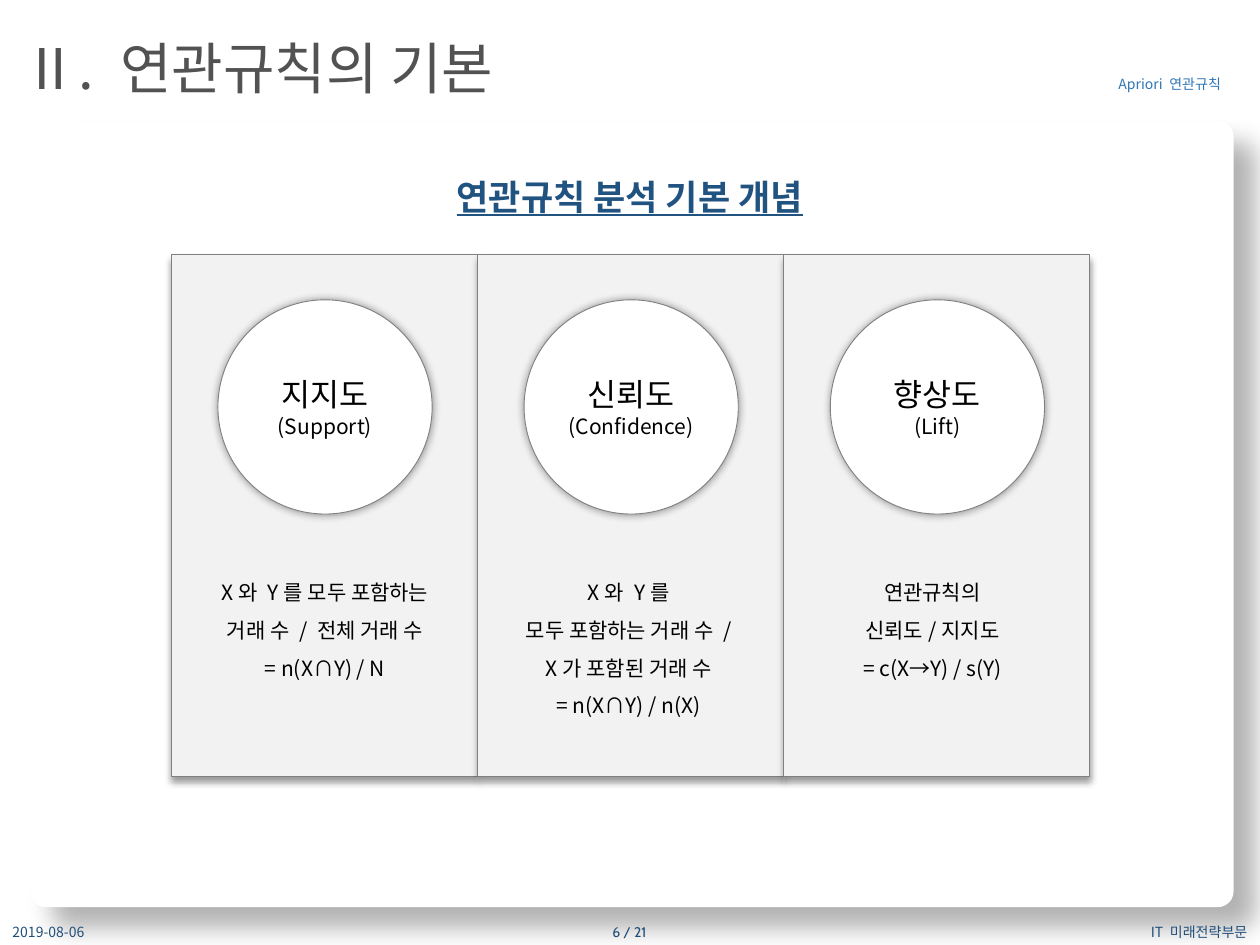
from lxml.etree import SubElement
from pptx import Presentation
from pptx.dml.color import RGBColor
from pptx.enum.shapes import MSO_SHAPE
from pptx.enum.text import MSO_ANCHOR, PP_ALIGN
from pptx.oxml.ns import qn
from pptx.util import Inches, Pt

COLORS = {
    "white": "FFFFFF", "black": "000000", "panel": "F2F2F2", "outline": "808080",
    "title": "525252", "heading": "215381", "topic": "2E75B6", "footer": "1F4E79",
}
KOREAN_FONT = "Noto Sans CJK KR"


def write_text(shape, lines, sizes, color, align=PP_ALIGN.CENTER, anchor=MSO_ANCHOR.MIDDLE,
               font_name=KOREAN_FONT, line_spacing=None):
    frame = shape.text_frame
    frame.word_wrap = True
    frame.vertical_anchor = anchor
    frame.text = "\n".join(lines)
    for paragraph, size in zip(frame.paragraphs, sizes):
        paragraph.alignment = align
        if line_spacing:
            paragraph.line_spacing = line_spacing
        font = paragraph.font
        font.size = Pt(size)
        font.color.rgb = RGBColor.from_string(COLORS[color])
        font.name = font_name
        properties = paragraph._p.pPr.find(qn("a:defRPr"))
        SubElement(properties, qn("a:ea"), typeface=font_name)


def add_shadowed_shape(kind, left, top, width, height, fill, shadow, outlined=True):
    shape = slide.shapes.add_shape(kind, Inches(left), Inches(top), Inches(width), Inches(height))
    shape.fill.solid()
    shape.fill.fore_color.rgb = RGBColor.from_string(COLORS[fill])
    if outlined:
        shape.line.color.rgb = RGBColor.from_string(COLORS["outline"])
        shape.line.width = Pt(0.5)
    else:
        shape.line.fill.background()
    shape.shadow.inherit = False
    opacity, blur, distance, direction = shadow
    effects = shape._element.spPr.find(qn("a:effectLst"))
    outer = SubElement(effects, qn("a:outerShdw"), blurRad=str(Pt(blur)), dist=str(Pt(distance)),
                       dir=str(direction * 60000), algn="ctr", rotWithShape="0")
    shadow_color = SubElement(outer, qn("a:srgbClr"), val=COLORS["black"])
    SubElement(shadow_color, qn("a:alpha"), val=str(opacity * 1000))
    return shape


presentation = Presentation()
presentation.slide_width = Inches(10)
presentation.slide_height = Inches(7.5)
slide = presentation.slides.add_slide(presentation.slide_layouts[6])

card = add_shadowed_shape(MSO_SHAPE.ROUNDED_RECTANGLE, 0.24, 0.96, 9.55, 6.24, "white",
                          (30, 15, 18, 45), outlined=False)
card.adjustments[0] = 0.02

labels = [
    ("Apriori 연관규칙", 6.55, 0.38, 3.24, 0.57, 8, "topic", PP_ALIGN.RIGHT, MSO_ANCHOR.MIDDLE, KOREAN_FONT),
    ("2019-08-06", 0, 7.3, 2.25, 0.2, 8, "footer", PP_ALIGN.LEFT, MSO_ANCHOR.MIDDLE, KOREAN_FONT),
    ("6 / 21", 3.87, 7.3, 2.25, 0.2, 8, "footer", PP_ALIGN.CENTER, MSO_ANCHOR.MIDDLE, "Cabin"),
    ("Ⅱ. 연관규칙의 기본", 0.08, 0.22, 6.38, 0.64, 32, "title", PP_ALIGN.LEFT, MSO_ANCHOR.TOP, KOREAN_FONT),
    ("IT 미래전략부문", 8.1, 7.29, 1.9, 0.21, 8, "footer", PP_ALIGN.RIGHT, MSO_ANCHOR.MIDDLE, KOREAN_FONT),
]
for text, left, top, width, height, size, color, align, anchor, font_name in labels:
    label = slide.shapes.add_textbox(Inches(left), Inches(top), Inches(width), Inches(height))
    write_text(label, [text], [size], color, align, anchor, font_name)

heading = slide.shapes.add_textbox(Inches(1.4), Inches(1.34), Inches(7.2), Inches(0.44))
write_text(heading, ["연관규칙 분석 기본 개념"], [20], "heading", anchor=MSO_ANCHOR.TOP)
heading_font = heading.text_frame.paragraphs[0].font
heading_font.bold = True
heading_font.underline = True

measures = [
    ("지지도", "(Support)", ["X와 Y를 모두 포함하는 거래 수 / 전체 거래 수", "= n(X∩Y) / N"]),
    ("신뢰도", "(Confidence)", ["X와 Y를", "모두 포함하는 거래 수 / X가 포함된 거래 수", "= n(X∩Y) / n(X)"]),
    ("향상도", "(Lift)", ["연관규칙의", "신뢰도/지지도", "= c(X→Y) / s(Y)"]),
]
panel_left, panel_width = 1.36, 2.43
for column in range(len(measures)):
    add_shadowed_shape(MSO_SHAPE.RECTANGLE, panel_left + column * panel_width, 2.02,
                       panel_width, 4.14, "panel", (40, 4, 3, 90))

for column, (name, english, definition) in enumerate(measures):
    circle = add_shadowed_shape(MSO_SHAPE.OVAL, 1.73 + column * panel_width, 2.38, 1.7, 1.7,
                                "white", (40, 5, 0, 0))
    write_text(circle, [name, english], [18, 12], "black")
    description = slide.shapes.add_textbox(Inches(1.61 + column * 2.41), Inches(4.45),
                                           Inches(1.94), Inches(1.31))
    write_text(description, definition, [12] * len(definition), "black",
               anchor=MSO_ANCHOR.TOP, line_spacing=1.5)

presentation.save("out.pptx")
